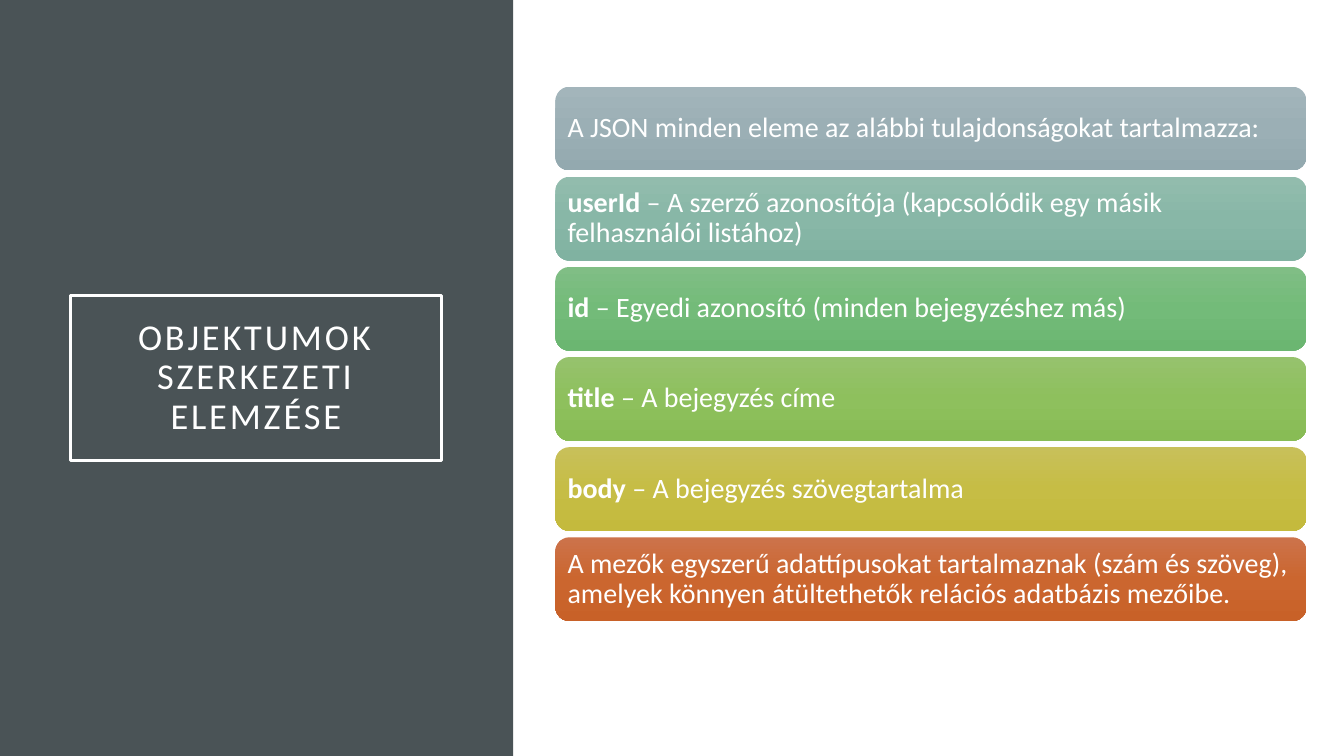
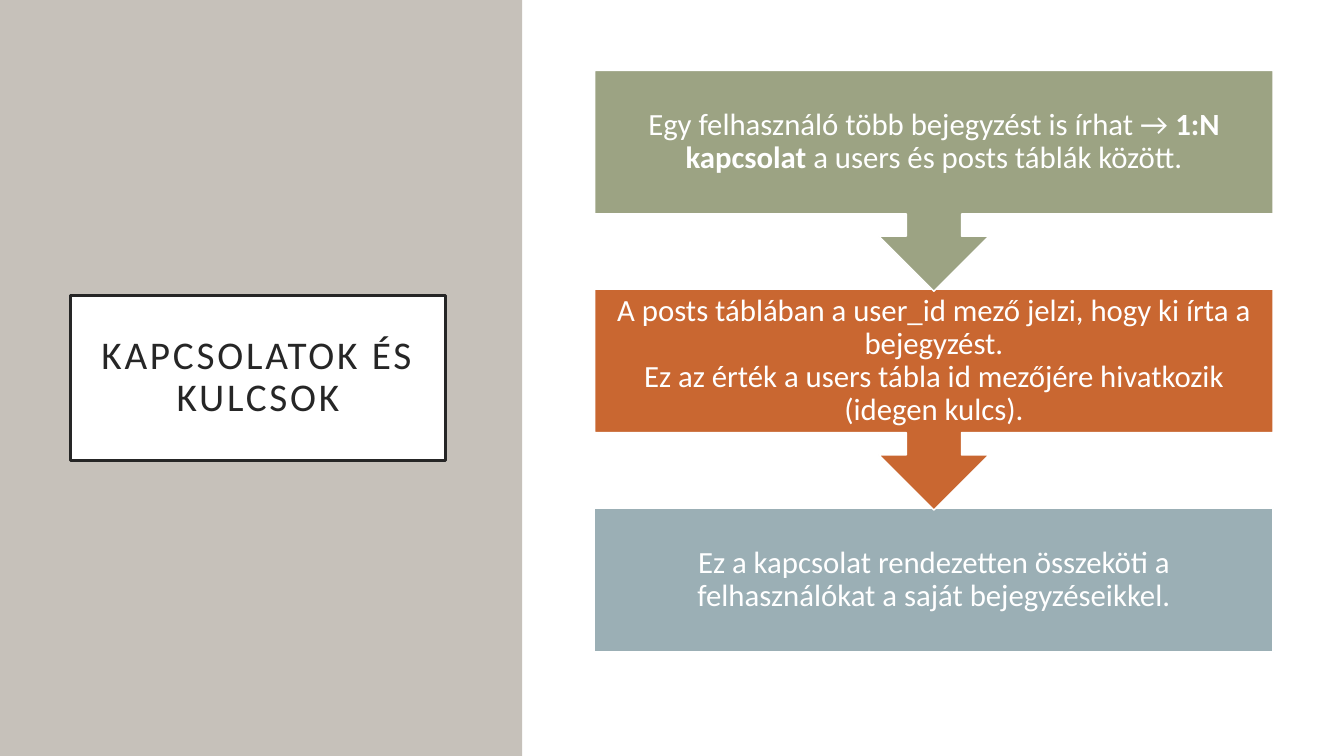
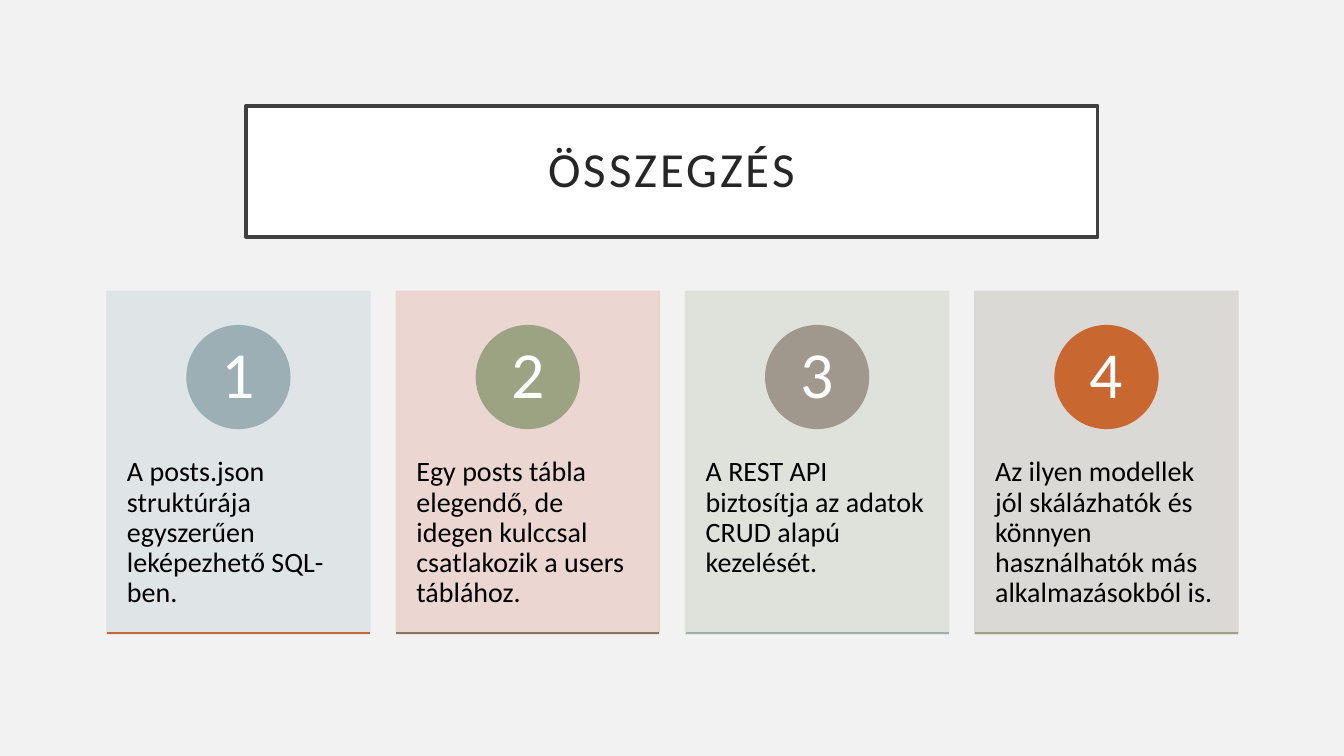
from lxml.etree import SubElement
from pptx import Presentation
from pptx.dml.color import RGBColor
from pptx.enum.shapes import MSO_CONNECTOR, MSO_SHAPE
from pptx.enum.text import MSO_ANCHOR, MSO_AUTO_SIZE, PP_ALIGN
from pptx.oxml.ns import qn
from pptx.util import Inches, Pt

WIDTH, HEIGHT = Inches(13.333), Inches(7.5)
FONT = "Calibri"
COLORS = {
    "white": "FFFFFF", "black": "000000", "ink": "262626", "frame": "404040",
    "slate": "4A5356", "sand": "C6C1BA", "paper": "F2F2F2",
    "steel": "9BAFB5", "sage": "9CA383", "rust": "C96731",
    "taupe": "A0988C", "olive": "87795D",
    "steel_tint": "DEE3E5", "rose_tint": "EBD3CE",
    "sage_tint": "DEE0D9", "taupe_tint": "D9D7D2",
}
PROPERTIES = [
    ("A JSON minden eleme az alábbi tulajdonságokat tartalmazza:", ("A3B5BB", "9BAFB5", "93A9AF")),
    ("**userId** – A szerző azonosítója (kapcsolódik egy másik felhasználói listához)",
     ("92BCAD", "88B7A7", "80B2A1")),
    ("**id** – Egyedi azonosító (minden bejegyzéshez más)", ("80BE85", "73BB79", "6BB671")),
    ("**title** – A bejegyzés címe", ("96C26D", "8EC05D", "88BC55")),
    ("**body** – A bejegyzés szövegtartalma", ("C8C05A", "C6BD45", "C4BA3D")),
    ("A mezők egyszerű adattípusokat tartalmaznak (szám és szöveg), "
     "amelyek könnyen átültethetők relációs adatbázis mezőibe.", ("CC734B", "CB662F", "C86128")),
]
RELATIONS = [
    ("Egy felhasználó több bejegyzést is írhat → **1:N kapcsolat** a users és posts táblák között.",
     "sage", MSO_SHAPE.DOWN_ARROW_CALLOUT, 29.2),
    ("A posts táblában a user_id mező jelzi, hogy ki írta a bejegyzést.\n"
     "Ez az érték a users tábla id mezőjére hivatkozik (idegen kulcs).",
     "rust", MSO_SHAPE.DOWN_ARROW_CALLOUT, 29.2),
    ("Ez a kapcsolat rendezetten összeköti a felhasználókat a saját bejegyzéseikkel.",
     "steel", MSO_SHAPE.RECTANGLE, 19.07),
]
CONCLUSIONS = [
    ("A posts.json struktúrája egyszerűen leképezhető SQL-ben.", "steel_tint", "steel", "rust"),
    ("Egy posts tábla elegendő, de idegen kulccsal csatlakozik a users táblához.",
     "rose_tint", "sage", "olive"),
    ("A REST API biztosítja az adatok CRUD alapú kezelését.", "sage_tint", "taupe", "steel"),
    ("Az ilyen modellek jól skálázhatók és könnyen használhatók más alkalmazásokból is.",
     "taupe_tint", "rust", "sage"),
]


def rgb(name):
    return RGBColor.from_string(COLORS[name])


def across(percent):
    return round(WIDTH * percent / 100)


def down(percent):
    return round(HEIGHT * percent / 100)


def area(left, top, width, height):
    return across(left), down(top), across(width), down(height)


def set_values(target, values):
    for name, value in values.items():
        setattr(target, name, value)


def paint(part, fill=None, line=None, weight=1):
    if fill:
        part.fill.solid()
        part.fill.fore_color.rgb = rgb(fill)
    else:
        part.fill.background()
    if line:
        part.line.color.rgb = rgb(line)
        part.line.width = Pt(weight)
    else:
        part.line.fill.background()


def add_block(slide, kind, place, fill=None, line=None):
    block = slide.shapes.add_shape(kind, *area(*place))
    block.shadow.inherit = False
    paint(block, fill, line)
    return block


def write(part, text, size, color, insets, align=PP_ALIGN.LEFT, anchor=MSO_ANCHOR.MIDDLE):
    left, top, right, bottom = map(Inches, insets)
    set_values(part.text_frame, {
        "word_wrap": True, "auto_size": MSO_AUTO_SIZE.NONE, "vertical_anchor": anchor,
        "margin_left": left, "margin_top": top, "margin_right": right, "margin_bottom": bottom,
    })
    paragraph = part.text_frame.paragraphs[0]
    set_values(paragraph, {"alignment": align, "line_spacing": 0.9})
    for index, piece in enumerate(text.split("**")):
        for number, words in enumerate(piece.split("\n")):
            if number:
                paragraph.add_line_break()
            if words:
                run = paragraph.add_run()
                run.text = words
                set_values(run.font, {"name": FONT, "size": Pt(size), "bold": index % 2 == 1})
                run.font.color.rgb = rgb(color)


def set_title(slide, text, place, size, color, fill, line):
    title = slide.shapes.title
    names = ("left", "top", "width", "height")
    set_values(title, dict(zip(names, area(*place))))
    paint(title, fill, line, 2.5)
    write(title, text, size, color, (0.2,) * 4, PP_ALIGN.CENTER)
    for properties in title.element.iter(qn("a:rPr")):
        properties.set("spc", "200")


def add_side_panel(slide, width, fill):
    panel = add_block(slide, MSO_SHAPE.RECTANGLE, (0, 0, width, 100), fill)
    slide.shapes.title.element.addprevious(panel.element)


def shade(bar, tones):
    bar.fill.gradient()
    bar.fill.gradient_angle = 270
    stops = next(bar.element.iter(qn("a:gsLst")))
    stops.clear()
    for index, tone in enumerate(tones):
        stop = SubElement(stops, qn("a:gs"), pos=str(index * 50000))
        SubElement(stop, qn("a:srgbClr"), val=tone)


def soften(card, opacity):
    for color in list(card.element.iter(qn("a:srgbClr"))):
        SubElement(color, qn("a:alpha"), val=str(opacity * 1000))


def add_baseline(slide, left, top, width, color):
    baseline = slide.shapes.add_connector(
        MSO_CONNECTOR.STRAIGHT, across(left), down(top), across(left + width), down(top))
    baseline.line.color.rgb = rgb(color)
    baseline.line.width = Pt(1)
    SubElement(baseline.element.find(qn("p:spPr")), qn("a:effectLst"))


def add_property_bars(slide):
    height, gap = 11.07, 0.85
    for row, (text, tones) in enumerate(PROPERTIES):
        place = (41.33, 11.47 + row * (height + gap), 55.88, height)
        bar = add_block(slide, MSO_SHAPE.ROUNDED_RECTANGLE, place)
        shade(bar, tones)
        write(bar, text, 20, "white", (0.08,) * 4)


def add_relation_steps(slide):
    for row, (text, fill, kind, height) in reversed(list(enumerate(RELATIONS))):
        place = (44.25, 9.33 + row * 28.93, 50.48, height)
        step = add_block(slide, kind, place, fill, "white")
        write(step, text, 22, "white", (0.17,) * 4, PP_ALIGN.CENTER)


def add_conclusion_cards(slide):
    width, gap, badge_width = 19.58, 1.95, 7.65
    for column, (text, tint, badge_color, base_color) in enumerate(CONCLUSIONS):
        left = 7.95 + column * (width + gap)
        card = add_block(slide, MSO_SHAPE.RECTANGLE, (left, 38.53, width, 45.33), tint, tint)
        soften(card, 90)
        write(card, text, 20, "black", (0.2, 1.65, 0.2, 0.36), anchor=MSO_ANCHOR.TOP)
        badge_left = left + (width - badge_width) / 2
        badge = add_block(slide, MSO_SHAPE.OVAL, (badge_left, 43.07, badge_width, 13.6),
                          badge_color, badge_color)
        write(badge, str(column + 1), 47, "white", (0.08, 0.01, 0.08, 0.01), PP_ALIGN.CENTER)
        add_baseline(slide, left, 83.73, width, base_color)


def main():
    deck = Presentation()
    set_values(deck, {"slide_width": WIDTH, "slide_height": HEIGHT})
    structure, keys, summary = (deck.slides.add_slide(deck.slide_layouts[5]) for _ in range(3))

    add_side_panel(structure, 38.18, "slate")
    set_title(structure, "OBJEKTUMOK SZERKEZETI ELEMZÉSE", (5.25, 39.07, 27.6, 21.87),
              26, "white", None, "white")
    add_property_bars(structure)

    add_side_panel(keys, 38.85, "sand")
    set_title(keys, "KAPCSOLATOK ÉS KULCSOK", (5.25, 39.07, 27.9, 21.87),
              28, "ink", "white", "ink")
    add_block(keys, MSO_SHAPE.RECTANGLE, (39, 0, 61, 100), "white")
    add_relation_steps(keys)

    summary.background.fill.solid()
    summary.background.fill.fore_color.rgb = rgb("paper")
    set_title(summary, "ÖSSZEGZÉS", (18.3, 14, 63.38, 17.33), 35, "ink", "white", "frame")
    add_conclusion_cards(summary)

    deck.save("out.pptx")


if __name__ == "__main__":
    main()
